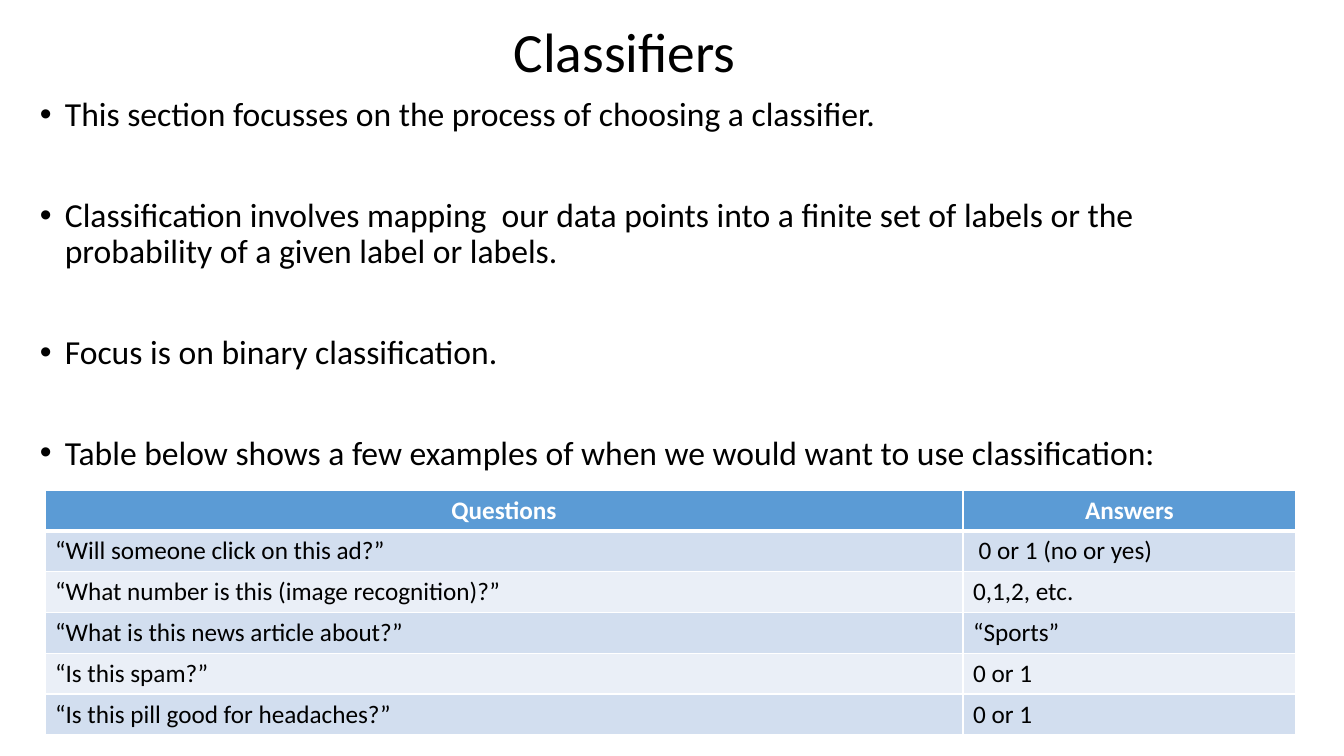
from dataclasses import dataclass

from lxml import etree
from pptx import Presentation
from pptx.dml.color import RGBColor
from pptx.enum.text import MSO_ANCHOR, PP_ALIGN
from pptx.oxml.ns import qn
from pptx.util import Emu, Pt

CENTER = PP_ALIGN.CENTER
JUSTIFY = PP_ALIGN.JUSTIFY
MIDDLE = MSO_ANCHOR.MIDDLE
PX = 914400 / 100.8


@dataclass(frozen=True)
class Theme:
    font: str = "Calibri"
    text: str = "000000"
    white: str = "FFFFFF"
    header: str = "5B9BD5"
    bands: tuple = ("D2DEEF", "EAEFF7")
    title_size: float = 39.6
    body_size: float = 24
    table_size: float = 18
    line_spacing: float = 0.9
    bullet_gap: float = 46
    thin: float = 1
    thick: float = 3


THEME = Theme()

BULLETS = [
    "This section focusses on the process of choosing a classifier.",
    "Classification involves mapping  our data points into a finite set of "
    "labels or the probability of a given label or labels.",
    "Focus is on binary classification.",
    "Table below shows a few examples of when we would want to use classification:",
]

EXAMPLES = [
    ("Questions", "Answers"),
    ("“Will someone click on this ad?”", " 0 or 1 (no or yes)"),
    ("“What number is this (image recognition)?”", "0,1,2, etc."),
    ("“What is this news article about?”", "“Sports”"),
    ("“Is this spam?”", "0 or 1"),
    ("“Is this pill good for headaches?”", "0 or 1"),
]


def px(n):
    return Emu(round(n * PX))


def add_run(p, text, size, color=THEME.text, bold=False):
    r = p.add_run()
    r.text = text
    r.font.name = THEME.font
    r.font.size = Pt(size)
    r.font.bold = bold
    r.font.color.rgb = RGBColor.from_string(color)


def add_text_frame(slide, box):
    tf = slide.shapes.add_textbox(*map(px, box)).text_frame
    tf.word_wrap = True
    return tf


def add_title(slide, box, text):
    tf = add_text_frame(slide, box)
    tf.vertical_anchor = MIDDLE
    p = tf.paragraphs[0]
    p.alignment = CENTER
    p.line_spacing = THEME.line_spacing
    add_run(p, text, THEME.title_size)


def set_bullet(p, indent):
    pPr = p._p.get_or_add_pPr()
    pPr.set("marL", str(indent))
    pPr.set("indent", str(-indent))
    etree.SubElement(pPr, qn("a:buFont"), typeface="Arial")
    etree.SubElement(pPr, qn("a:buChar"), char="•")


def add_bullets(slide, box, items):
    tf = add_text_frame(slide, box)
    for i, item in enumerate(items):
        p = tf.add_paragraph() if i else tf.paragraphs[0]
        p.line_spacing = THEME.line_spacing
        p.space_before = Pt(THEME.bullet_gap if i else 0)
        set_bullet(p, px(25))
        add_run(p, item, THEME.body_size)


def set_borders(cell, top, bottom):
    tcPr = cell._tc.get_or_add_tcPr()
    widths = {"lnL": THEME.thin, "lnR": THEME.thin, "lnT": top, "lnB": bottom}
    for tag, width in widths.items():
        ln = etree.SubElement(tcPr, qn(f"a:{tag}"), w=str(Pt(width)))
        fill = etree.SubElement(ln, qn("a:solidFill"))
        etree.SubElement(fill, qn("a:srgbClr"), val=THEME.white)


def add_examples_table(slide, box, rows, widths):
    table = slide.shapes.add_table(len(rows), len(widths), *map(px, box)).table
    for column, width in zip(table.columns, widths):
        column.width = px(width)
    for i, row in enumerate(rows):
        head = i == 0
        color = THEME.white if head else THEME.text
        fill = THEME.header if head else THEME.bands[(i - 1) % 2]
        top = THEME.thick if i == 1 else THEME.thin
        bottom = THEME.thick if head else THEME.thin
        for j, text in enumerate(row):
            cell = table.cell(i, j)
            set_borders(cell, top, bottom)
            cell.fill.solid()
            cell.fill.fore_color.rgb = RGBColor.from_string(fill)
            p = cell.text_frame.paragraphs[0]
            p.alignment = CENTER if head else JUSTIFY
            add_run(p, text, THEME.table_size, color, head)


def build_classifiers(prs):
    slide = prs.slides.add_slide(prs.slide_layouts[6])
    add_title(slide, (45, 16, 1159, 77), "Classifiers")
    add_bullets(slide, (30, 93, 1222, 643), BULLETS)
    add_examples_table(slide, (45, 490, 1251, 245), EXAMPLES, (918, 333))


prs = Presentation()
prs.slide_width = px(1344)
prs.slide_height = px(756)
build_classifiers(prs)
prs.save("out.pptx")
